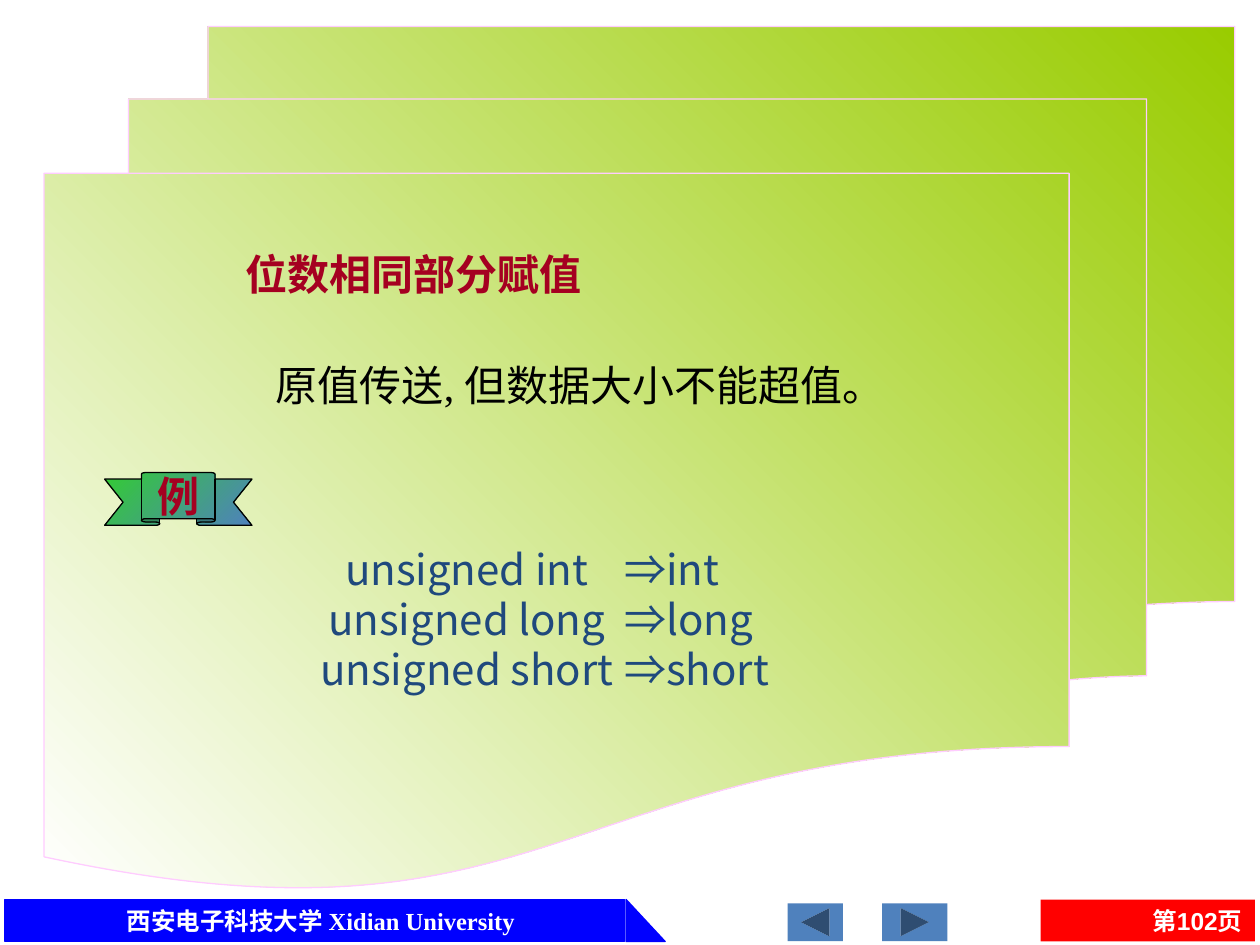
"""Build the slide on assigning values between types of equal width."""
from dataclasses import dataclass, field
from typing import Optional

from lxml.etree import SubElement
from pptx import Presentation
from pptx.dml.color import RGBColor
from pptx.enum.shapes import MSO_SHAPE
from pptx.enum.text import MSO_ANCHOR, PP_ALIGN
from pptx.oxml.ns import qn
from pptx.util import Pt

CJK = "Noto Sans CJK SC"
FOOTER_TOP, FOOTER_HEIGHT = 514, 24
BUTTON_TOP, BUTTON_HEIGHT = 516.2, 21.6


@dataclass
class Panel:
    kind: MSO_SHAPE
    box: tuple
    fill: tuple
    angle: float = 0
    line: Optional[str] = None
    rotation: float = 0
    adjust: tuple = ()


@dataclass
class Words:
    lines: tuple
    font: str
    size: float
    color: str
    bold: bool = False
    align: PP_ALIGN = PP_ALIGN.LEFT
    spacing: Optional[float] = None
    tabs: tuple = ()
    frame: dict = field(default_factory=dict)


def rgb(color: str) -> RGBColor:
    return RGBColor.from_string(color)


def apply(target, values: dict) -> None:
    for name, value in values.items():
        setattr(target, name, value)


def place(sp, box: tuple) -> None:
    apply(sp, dict(zip(("left", "top", "width", "height"), map(Pt, box))))


def add_panel(shapes, panel: Panel):
    sp = shapes.add_shape(panel.kind, *map(Pt, panel.box))
    sp.shadow.inherit = False
    sp.rotation = panel.rotation
    for i, value in enumerate(panel.adjust):
        sp.adjustments[i] = value
    if len(panel.fill) == 1:
        sp.fill.solid()
        sp.fill.fore_color.rgb = rgb(panel.fill[0])
    else:
        sp.fill.gradient()
        sp.fill.gradient_angle = panel.angle
        for i, (stop, color) in enumerate(zip(sp.fill.gradient_stops, panel.fill)):
            stop.position = i
            stop.color.rgb = rgb(color)
    if panel.line:
        sp.line.color.rgb = rgb(panel.line)
        sp.line.width = Pt(0.75)
    else:
        sp.line.fill.background()
    return sp


def add_tabs(p, tabs: tuple) -> None:
    tab_list = SubElement(p._p.get_or_add_pPr(), qn("a:tabLst"))
    for position, align in tabs:
        SubElement(tab_list, qn("a:tab"), pos=str(int(Pt(position))), algn=align)


def write(sp, words: Words) -> None:
    tf = sp.text_frame
    apply(tf, {"word_wrap": True, "vertical_anchor": MSO_ANCHOR.TOP} | words.frame)
    for i, line in enumerate(words.lines):
        p = tf.add_paragraph() if i else tf.paragraphs[0]
        p.alignment = words.align
        p.space_before = Pt(0)
        if words.spacing:
            p.line_spacing = Pt(words.spacing)
        if words.tabs:
            add_tabs(p, words.tabs)
        r = p.add_run()
        r.text = line
        apply(r.font, {"name": words.font, "size": Pt(words.size), "bold": words.bold})
        r.font.color.rgb = rgb(words.color)
        SubElement(r._r.get_or_add_rPr(), qn("a:ea"), typeface=CJK)


def add_text(shapes, box: tuple, words: Words) -> None:
    write(shapes.add_textbox(*map(Pt, box)), words)


def add_footer(shapes) -> None:
    middle = {"vertical_anchor": MSO_ANCHOR.MIDDLE}
    for kind, left, width in ((MSO_SHAPE.RECTANGLE, 2.9, 354.2),
                              (MSO_SHAPE.RIGHT_TRIANGLE, 357.8, 22.3)):
        add_panel(shapes, Panel(kind, (left, FOOTER_TOP, width, FOOTER_HEIGHT),
                                ("0000FF",), line="0000FF"))
    add_text(shapes, (23.8, FOOTER_TOP, 319, FOOTER_HEIGHT),
             Words(("西安电子科技大学 Xidian University",), "Times New Roman", 14,
                   "FFFFFF", True, PP_ALIGN.CENTER, frame=middle))
    page = add_panel(shapes, Panel(
        MSO_SHAPE.RECTANGLE, (594.7, FOOTER_TOP, 122.4, FOOTER_HEIGHT), ("FF0000",)))
    write(page, Words(("第102页",), "Arial", 14, "FFFFFF", True, PP_ALIGN.RIGHT,
                      frame=middle))
    for left, width, rotation in ((504, 37.4, 0), (450, 31.7, 180)):
        add_panel(shapes, Panel(MSO_SHAPE.ACTION_BUTTON_FORWARD_OR_NEXT,
                                (left, BUTTON_TOP, width, BUTTON_HEIGHT),
                                ("4F81BD",), rotation=rotation))


def add_title(shapes) -> None:
    title = shapes.title
    shapes._spTree.append(title._element)
    place(title, (133.2, 128.2, 207.4, 50.4))
    write(title, Words(("位数相同部分赋值",), "Times New Roman", 24, "A50021", True,
                       frame={"word_wrap": False, "margin_top": Pt(14)}))


def main() -> None:
    prs = Presentation()
    prs.slide_width, prs.slide_height = Pt(720), Pt(540)
    s = prs.slides.add_slide(prs.slide_layouts[5])
    shapes = s.shapes
    add_footer(shapes)
    add_panel(shapes, Panel(MSO_SHAPE.FLOWCHART_MULTIDOCUMENT, (25.2, 15.1, 680.4, 493.2),
                            ("FFFFFF", "99CC00"), 45, "FFCCFF"))
    add_title(shapes)
    add_text(shapes, (150.5, 202.3, 368.6, 60),
             Words(("原值传送, 但数据大小不能超值。",), "Times New Roman", 24, "000000",
                   spacing=25.7, frame={"margin_top": Pt(6)}))
    pairs = (("unsigned int", "int"), ("unsigned long", "long"),
             ("unsigned short", "short"))
    add_text(shapes, (93.6, 303.8, 414, 93.6),
             Words(tuple(f"\t{source}\t⇒{target}" for source, target in pairs), CJK, 24,
                   "1F497D", spacing=28.6, tabs=((166, "ctr"), (256, "l")),
                   frame={"margin_top": Pt(7)}))
    ribbon = add_panel(shapes, Panel(MSO_SHAPE.UP_RIBBON, (59.8, 270, 84.2, 30.2),
                                     ("33CC33", "4F81BD"), 315, "000000",
                                     adjust=(0.125, 0.5)))
    write(ribbon, Words(("例",), "Roboto", 24, "A50021", True, PP_ALIGN.CENTER,
                        frame={"word_wrap": False, "vertical_anchor": MSO_ANCHOR.MIDDLE}))
    prs.save("out.pptx")


if __name__ == "__main__":
    main()
